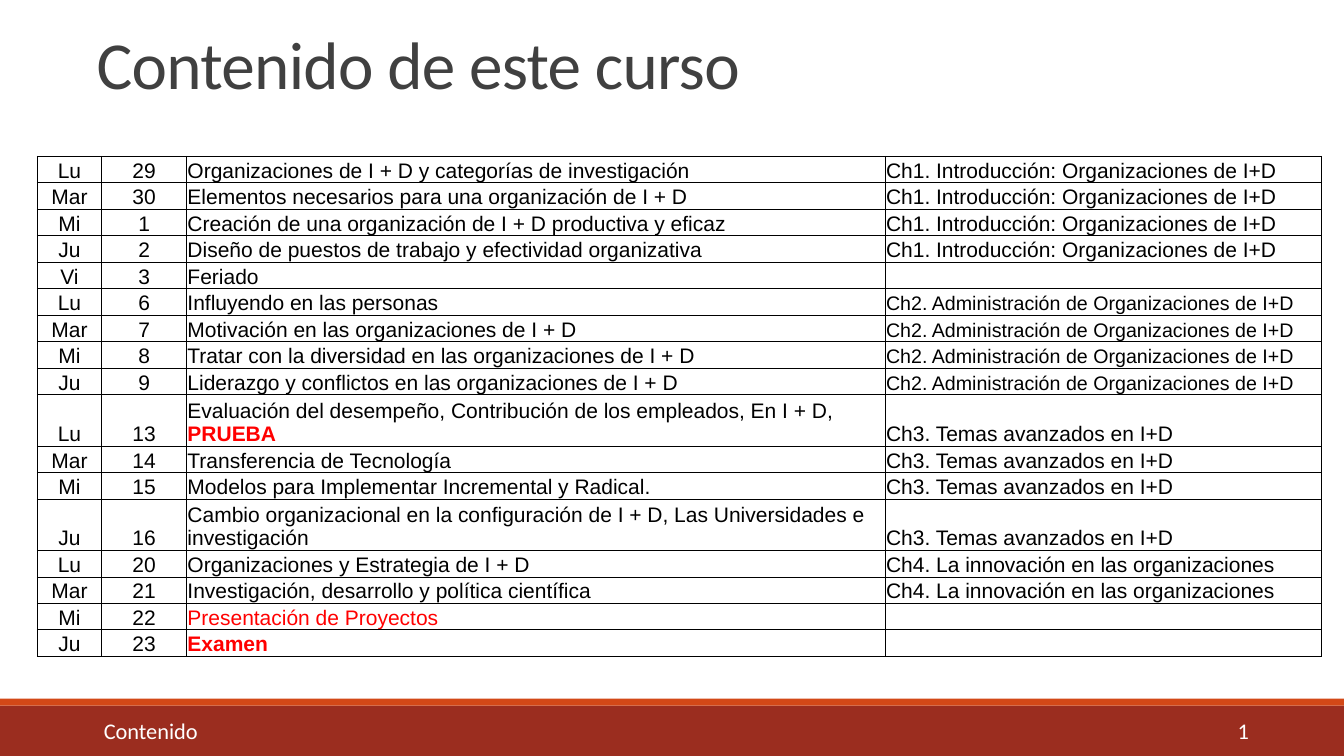
import pptx
import pptx.util
import pptx.dml.color
import pptx.enum.shapes
import pptx.enum.text
import pptx.oxml
import pptx.oxml.ns

Pt = pptx.util.Pt
RGBColor = pptx.dml.color.RGBColor
ALIGN = pptx.enum.text.PP_ALIGN
ANCHOR = pptx.enum.text.MSO_ANCHOR

BLACK = RGBColor(0x00, 0x00, 0x00)
WHITE = RGBColor(0xFF, 0xFF, 0xFF)
RED = RGBColor(0xFF, 0x00, 0x00)
CHARCOAL = RGBColor(0x40, 0x40, 0x40)
ORANGE = RGBColor(0xD3, 0x48, 0x17)
BRICK = RGBColor(0x9B, 0x2D, 0x1F)

NAMESPACE = pptx.oxml.ns.nsdecls("a")


def add_run(paragraph, text, *, font, size, color, bold=False, spacing=None):
    run = paragraph.add_run()
    run.text = text
    run.font.name = font
    run.font.size = Pt(size)
    run.font.color.rgb = color
    run.font.bold = bold
    if spacing is not None:
        run.font._element.set("spc", str(int(spacing * 100)))


class Deck:
    heading_font = "Calibri"
    table_font = "Arial"
    table_size = 15

    def __init__(self, width, height):
        self.presentation = pptx.Presentation()
        self.presentation.slide_width = Pt(width)
        self.presentation.slide_height = Pt(height)
        self.slide = self.presentation.slides.add_slide(self.presentation.slide_layouts[6])

    def band(self, left, top, width, height, color):
        shape = self.slide.shapes.add_shape(
            pptx.enum.shapes.MSO_SHAPE.RECTANGLE, Pt(left), Pt(top), Pt(width), Pt(height))
        shape.shadow.inherit = False
        shape.fill.solid()
        shape.fill.fore_color.rgb = color
        shape.line.fill.background()

    def text(self, left, top, width, height, text, *, anchor=ANCHOR.TOP, inset=7.2,
             line_spacing=None, right_tab=None, **style):
        frame = self.slide.shapes.add_textbox(
            Pt(left), Pt(top), Pt(width), Pt(height)).text_frame
        frame.word_wrap = True
        frame.vertical_anchor = anchor
        frame.margin_left = Pt(inset)
        paragraph = frame.paragraphs[0]
        if line_spacing:
            paragraph.line_spacing = line_spacing
        if right_tab:
            paragraph._p.get_or_add_pPr().append(pptx.oxml.parse_xml(
                f'<a:tabLst {NAMESPACE}><a:tab pos="{Pt(right_tab)}" algn="r"/></a:tabLst>'))
        add_run(paragraph, text, font=self.heading_font, **style)

    def border(self, cell):
        properties = cell._tc.get_or_add_tcPr()
        for side in ("lnL", "lnR", "lnT", "lnB"):
            properties.append(pptx.oxml.parse_xml(
                f'<a:{side} {NAMESPACE} w="{Pt(0.5)}"><a:solidFill>'
                f'<a:srgbClr val="{BLACK}"/></a:solidFill></a:{side}>'))

    def fill_cell(self, cell, runs, align):
        self.border(cell)
        cell.fill.background()
        cell.vertical_anchor = ANCHOR.BOTTOM
        cell.margin_left = cell.margin_right = cell.margin_top = Pt(0.75)
        cell.margin_bottom = 0
        paragraph = cell.text_frame.paragraphs[0]
        paragraph.alignment = align
        paragraph.font.size = Pt(self.table_size)
        for text, style in runs:
            add_run(paragraph, text, **{
                "font": self.table_font, "size": self.table_size, "color": BLACK, **style})

    def table(self, left, top, widths, heights, rows, alignments):
        table = self.slide.shapes.add_table(
            len(rows), len(widths), Pt(left), Pt(top), Pt(sum(widths)), Pt(sum(heights))).table
        table.first_row = table.horz_banding = False
        for column, width in zip(table.columns, widths):
            column.width = Pt(width)
        for row, height, contents in zip(table.rows, heights, rows):
            row.height = Pt(height)
            for cell, runs, align in zip(row.cells, contents, alignments):
                self.fill_cell(cell, runs, align)


INTRODUCTION = [("Ch1. Introducción: Organizaciones de I+D", {})]
MANAGEMENT = [("Ch2. Administración de Organizaciones de I+D", {"size": 14})]
ADVANCED = [("Ch3. Temas avanzados en I+D", {})]
INNOVATION = [("Ch4. La innovación en las organizaciones", {})]
NO_CHAPTER = []
EXAM_STYLE = {"color": RED, "bold": True}

sessions = [
    ("Lu", 29, "Organizaciones de I + D y categorías de investigación", INTRODUCTION),
    ("Mar", 30, "Elementos necesarios para una organización de I + D", INTRODUCTION),
    ("Mi", 1, "Creación de una organización de I + D productiva y eficaz", INTRODUCTION),
    ("Ju", 2, "Diseño de puestos de trabajo y efectividad organizativa", INTRODUCTION),
    ("Vi", 3, "Feriado", NO_CHAPTER),
    ("Lu", 6, "Influyendo en las personas", MANAGEMENT),
    ("Mar", 7, "Motivación en las organizaciones de I + D", MANAGEMENT),
    ("Mi", 8, "Tratar con la diversidad en las organizaciones de I + D", MANAGEMENT),
    ("Ju", 9, "Liderazgo y conflictos en las organizaciones de I + D", MANAGEMENT),
    ("Lu", 13, [("Evaluación del desempeño, Contribución de los empleados, En I + D, ", {}),
                ("PRUEBA", EXAM_STYLE)], ADVANCED),
    ("Mar", 14, "Transferencia de Tecnología", ADVANCED),
    ("Mi", 15, "Modelos para Implementar Incremental y Radical.", ADVANCED),
    ("Ju", 16, "Cambio organizacional en la configuración de I + D, "
               "Las Universidades e investigación", ADVANCED),
    ("Lu", 20, "Organizaciones y Estrategia de I + D", INNOVATION),
    ("Mar", 21, "Investigación, desarrollo y política científica", INNOVATION),
    ("Mi", 22, [("Presentación de Proyectos", {"color": RED})], NO_CHAPTER),
    ("Ju", 23, [("Examen", EXAM_STYLE)], NO_CHAPTER),
]
schedule = [
    ([(day, {})], [(str(date), {})], [(topic, {})] if isinstance(topic, str) else topic, chapter)
    for day, date, topic, chapter in sessions
]
two_line_dates = (13, 16)
row_heights = [34.4 if date in two_line_dates else 18.93 for _, date, _, _ in sessions]
row_heights[-1] = 17.9

deck = Deck(960, 540)
deck.band(0, 504, 960, 36, BRICK)
deck.band(0, 499, 960, 5, ORANGE)
deck.text(60.5, 509, 839.5, 25.2, "Contenido\t1", anchor=ANCHOR.MIDDLE, inset=13.7,
          right_tab=818, size=16, color=WHITE)
deck.text(61.9, 20.9, 792, 57.6, "Contenido de este curso", line_spacing=0.85,
          size=48, color=CHARCOAL, spacing=-0.5)
deck.table(26.6, 111.6, [46.1, 60.5, 499, 312], row_heights, schedule,
           [ALIGN.CENTER, ALIGN.CENTER, ALIGN.LEFT, ALIGN.LEFT])
deck.presentation.save("out.pptx")
